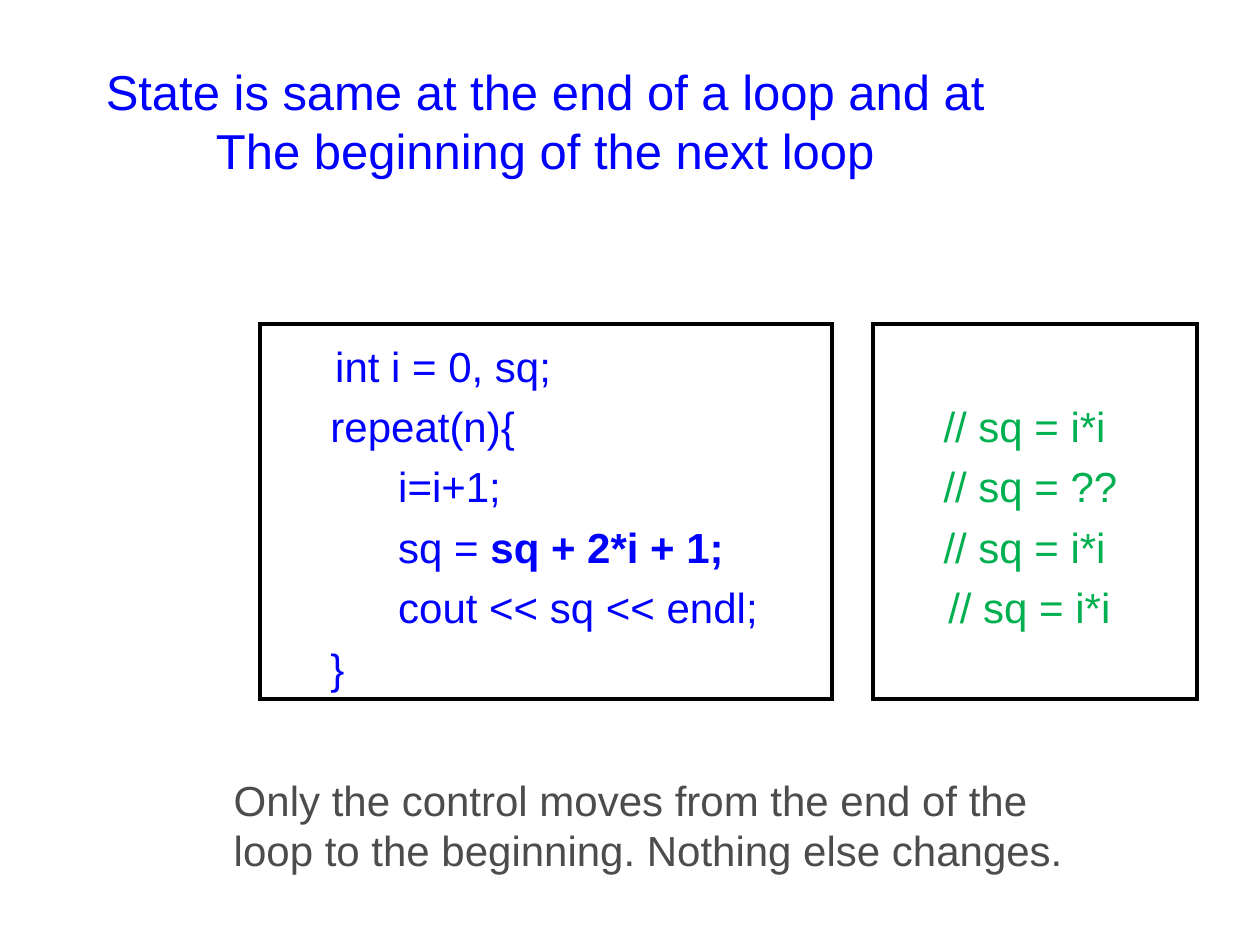
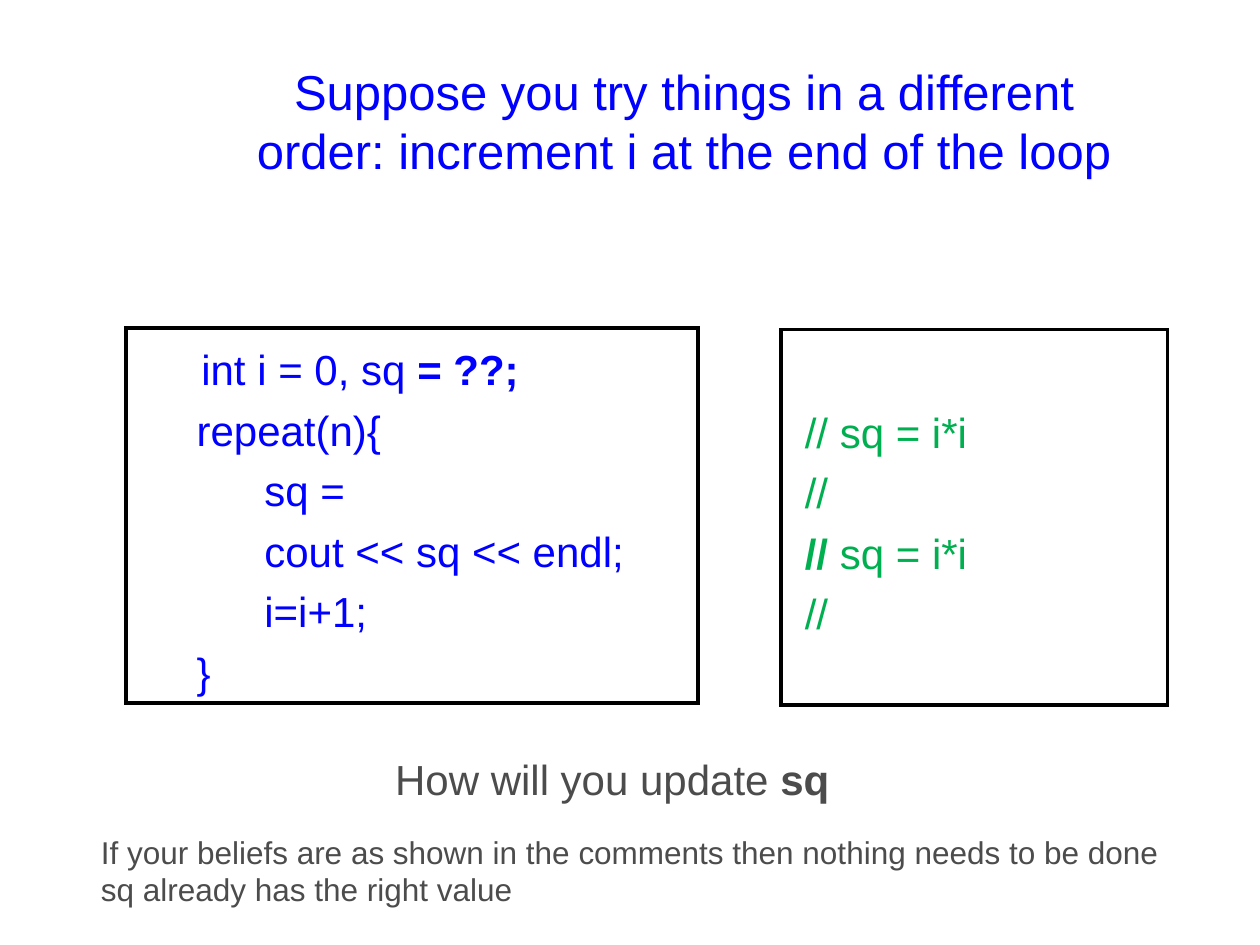
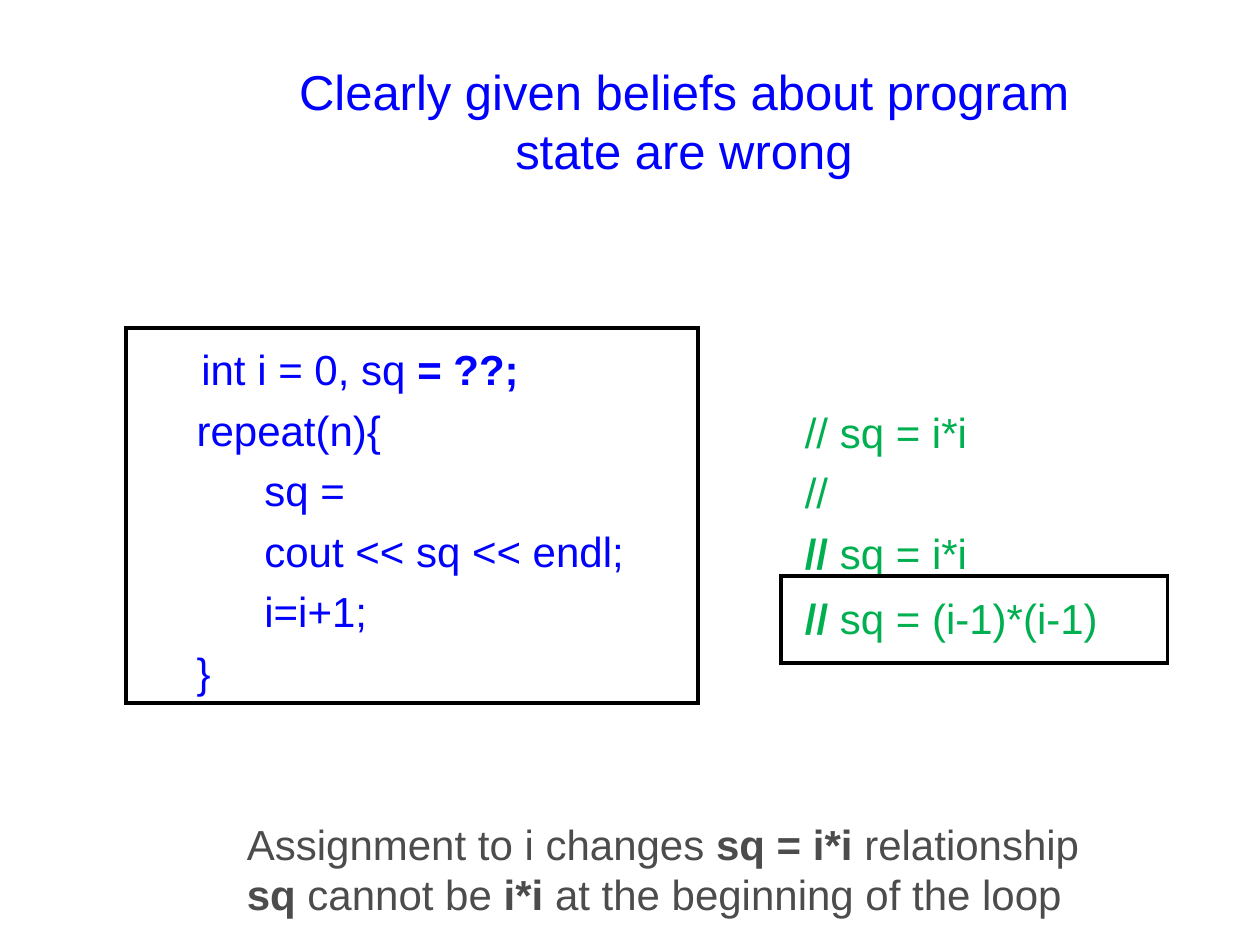
from lxml import etree
from pptx import Presentation
from pptx import util as u
from pptx.dml.color import RGBColor
from pptx.enum import shapes, text
from pptx.oxml.ns import qn

BLUE, GREEN, GREY, BLACK = "0000FF", "00B050", "4C4C4C", "000000"
FONT = "Arial"
TAB = 36
CODE_H = 214.5
LEAD = 38  # top inset that starts comments on the second code line


def color(code):
    return RGBColor.from_string(code)


class Deck:
    def __init__(self):
        self.prs = Presentation()
        self.prs.slide_width, self.prs.slide_height = u.Pt(720), u.Pt(540)
        self.page = None

    def slide(self, title, left):
        """Start a slide with its heading."""
        self.page = self.prs.slides.add_slide(self.prs.slide_layouts[6])
        box = self.text(left, 31.7, 519, 75, title, BLUE, 28)
        for par in box.text_frame.paragraphs:
            par.alignment = text.PP_ALIGN.CENTER

    def text(self, x, y, w, h, lines, tint, size=24):
        box = self.page.shapes.add_textbox(*map(u.Pt, (x, y, w, h)))
        self.fill(box, lines, tint, size)
        return box

    def frame(self, x, y, w, h):
        """Outlined rectangle without fill, with sharp corners."""
        box = self.page.shapes.add_shape(
            shapes.MSO_SHAPE.RECTANGLE, *map(u.Pt, (x, y, w, h)))
        box.shadow.inherit = False
        box.fill.background()
        box.line.color.rgb = color(BLACK)
        box.line.width = u.Pt(2.25)
        edge = box._element.spPr.find(qn("a:ln"))
        etree.SubElement(edge, qn("a:miter"), lim="800000")
        return box

    def code(self, x, y, lines):
        self.fill(self.frame(x, y, 327, CODE_H), lines, BLUE, gap=1.2)

    def notes(self, box, lines, top=LEAD):
        """Put code comments into a box."""
        self.fill(box, lines, GREEN, gap=1.2)
        box.text_frame.margin_top = u.Pt(top)

    def fill(self, box, lines, tint, size=24, gap=None):
        """Write lines; a bar switches bold on and off."""
        body = box.text_frame
        body.word_wrap = True
        body.vertical_anchor = text.MSO_ANCHOR.TOP
        for i, line in enumerate(lines):
            par = body.paragraphs[0] if i == 0 else body.add_paragraph()
            par.alignment = text.PP_ALIGN.LEFT
            if gap:
                par.line_spacing = gap
                self.tabs(par)
            font = par.font
            font.name, font.size = FONT, u.Pt(size)
            font.color.rgb = color(tint)
            for j, part in enumerate(line.split("|")):
                if part:
                    run = par.add_run()
                    run.text = part
                    if j % 2:
                        run.font.bold = True

    def tabs(self, par):
        stops = etree.SubElement(par._p.get_or_add_pPr(), qn("a:tabLst"))
        for n in range(1, 8):
            etree.SubElement(stops, qn("a:tab"),
                             pos=str(u.Pt(n * TAB)), algn="l")


WRONG = ["\tint i = 0, sq |= ??;|", "     repeat(n){", "\t\tsq =",
         "\t\tcout << sq << endl;", "\t\ti=i+1;", "     }"]
BELIEFS = [" // sq = i*i", " //", "| // |sq = i*i"]
SIDE = 446.2  # left edge of the comments beside the wrong code


def main():
    deck = Deck()

    # State across loops
    deck.slide(["State is same at the end of a loop and at",
                "The beginning of the next loop"], 52)
    deck.code(148.5, 185, [
        "\tint i = 0, sq;", "     repeat(n){", "\t\ti=i+1;",
        "\t\tsq = |sq + 2*i + 1;|", "\t\tcout << sq << endl;", "     }"])
    deck.notes(deck.frame(498.8, 185, 185, CODE_H), [
        "     // sq = i*i", "     // sq = ??", "     // sq = i*i",
        "\t// sq = i*i"])
    deck.text(126.5, 438.8, 496, 65, [
        "Only the control moves from the end of the",
        "loop to the beginning. Nothing else changes."], GREY)

    # Increment at the end
    deck.slide(["Suppose you try things in a different order: "
                "increment i at the end of the loop"], 131.3)
    deck.code(72, 187.2, WRONG)
    deck.notes(deck.frame(SIDE, 188.3, 221, CODE_H), BELIEFS + [" //"])
    deck.text(218.7, 427, 270, 36, ["How will you update |sq|"], GREY)
    deck.text(50.6, 472.3, 626, 50.5, [
        "If your beliefs are as shown in the comments then nothing "
        "needs to be done",
        "sq already has the right value"], GREY, 18)

    # Wrong beliefs
    deck.slide(["Clearly given beliefs about program state are wrong"], 131.3)
    deck.code(72, 187.2, WRONG)
    deck.notes(deck.text(SIDE, 188.3, 221, 146, [], GREEN), BELIEFS)
    deck.text(134, 464.2, 498, 65, [
        "Assignment to i changes |sq = i*i |relationship",
        "|sq| cannot be |i*i| at the beginning of the loop"], GREY)
    deck.notes(deck.frame(SIDE, 329.2, 221, 49.5),
               [" |// |sq = (i-1)*(i-1)"], top=3.6)

    deck.prs.save("out.pptx")


if __name__ == "__main__":
    main()
